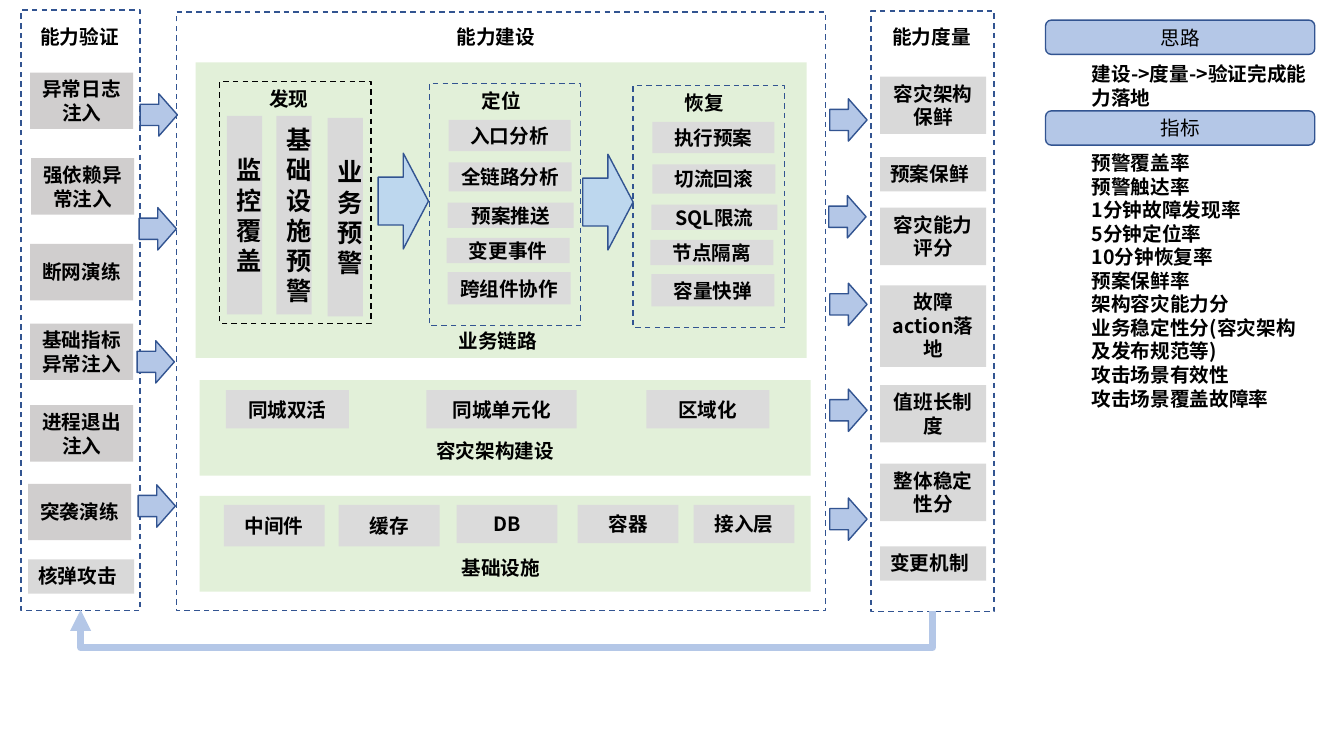
"""Build a one-slide map of disaster-recovery capabilities: verify, build, measure."""
from dataclasses import dataclass

from lxml import etree
from pptx import Presentation
from pptx.dml.color import RGBColor
from pptx.enum.dml import MSO_LINE
from pptx.enum.shapes import MSO_CONNECTOR, MSO_SHAPE
from pptx.enum.text import MSO_ANCHOR, MSO_AUTO_SIZE, PP_ALIGN
from pptx.oxml.ns import qn
from pptx.util import Inches, Pt

RECT, ROUNDED, ARROW = MSO_SHAPE.RECTANGLE, MSO_SHAPE.ROUNDED_RECTANGLE, MSO_SHAPE.RIGHT_ARROW
ELBOW, DASH = MSO_CONNECTOR.ELBOW, MSO_LINE.DASH
LEFT, CENTER = PP_ALIGN.LEFT, PP_ALIGN.CENTER
TOP, MIDDLE = MSO_ANCHOR.TOP, MSO_ANCHOR.MIDDLE
FIT_SHAPE = MSO_AUTO_SIZE.SHAPE_TO_FIT_TEXT


@dataclass(frozen=True)
class Theme:
    font: str = "Noto Sans CJK SC"
    body: int = 14
    large: int = 18
    ink: str = "000000"
    outline: str = "325491"
    panel: str = "E2F0D9"
    item: str = "DBDBDB"
    measure: str = "D9D9D9"
    drill: str = "D0CECE"
    accent: str = "B4C7E7"
    stage_arrow: str = "BDD7EE"


THEME = Theme()
SLIDE_SIZE = (13.33, 7.5)

FRAMES = [
    ("能力验证", (0.21, 0.1, 1.18, 5.96), 0.3, 1.01),
    ("能力建设", (1.75, 0.12, 6.44, 5.94), 4.43, 2.73),
    ("能力度量", (8.64, 0.11, 1.22, 5.96), 8.75, 1.18),
]
PANELS = [
    ("业务链路", (1.94, 0.62, 6.06, 2.93), (4.45, 3.21), 0, []),
    ("容灾架构建设", (1.98, 3.77, 6.06, 0.95), (4.23, 4.31), 3.87,
     [("同城双活", 2.24, 1.22, 0.38), ("同城单元化", 4.23, 1.49, 0.38), ("区域化", 6.41, 1.22, 0.38)]),
    ("基础设施", (1.98, 4.92, 6.06, 0.95), (4.48, 5.47), 5.01,
     [("中间件", 2.22, 1, 0.41), ("缓存", 3.36, 1, 0.41), ("DB", 4.53, 1, 0.38),
      ("容器", 5.73, 1, 0.38), ("接入层", 6.88, 1, 0.38)]),
]
STAGE_SIZE = (1.5, 2.4)
STAGES = [
    ("发现", 2.18, 0.81, 0.39, THEME.ink, []),
    ("定位", 4.26, 0.83, 0.42, THEME.outline,
     ["入口分析", "全链路分析", "预案推送", "变更事件", "跨组件协作"]),
    ("恢复", 6.28, 0.85, 0.41, THEME.outline,
     ["执行预案", "切流回滚", "SQL限流", "节点隔离", "容量快弹"]),
]
STAGE_ROWS = [(0.19, 0.36, 1.21, 0.31), (0.19, 0.78, 1.22, 0.29), (0.18, 1.18, 1.25, 0.25),
              (0.17, 1.53, 1.22, 0.25), (0.18, 1.87, 1.22, 0.32)]
ALERT_COLUMNS = [("监控覆盖", 2.25, 1.15), ("基础设施预警", 2.74, 1.15), ("业务预警", 3.25, 1.17)]
ALERT_SIZE = (0.35, 1.97)
DRILLS = [("异常日志注入", 0.3, 0.72), ("强依赖异常注入", 0.31, 1.57), ("断网演练", 0.3, 2.42),
          ("基础指标异常注入", 0.3, 3.21), ("进程退出注入", 0.3, 4.02), ("突袭演练", 0.28, 4.8)]
DRILL_SIZE = (1.02, 0.56)
MEASURE_LEFT, MEASURE_WIDTH = 8.73, 1.05
LINE_HEIGHTS = {1: 0.34, 2: 0.57, 3: 0.81}
MEASURES = [("容灾架构保鲜", 0.76, 2), ("预案保鲜", 1.56, 1), ("容灾能力评分", 2.06, 2),
            ("故障action落地", 2.83, 3), ("值班长制度", 3.82, 2), ("整体稳定性分", 4.6, 2),
            ("变更机制", 5.42, 1)]
FINAL_ATTACK = ("核弹攻击", 0.28, 5.55)
FLOW_SIZE = (0.37, 0.42)
FLOWS = [(1.39, 0.93), (1.38, 2.06), (1.36, 3.38), (1.37, 4.81),
         (8.23, 0.98), (8.22, 1.94), (8.23, 2.81), (8.23, 3.86), (8.23, 4.94)]
STAGE_FLOW_SIZE = (0.5, 0.95)
STAGE_FLOWS = [(3.75, 1.52), (5.78, 1.53)]
NOTES = [
    ("思路", 0.2, 0.57, 0.57, ["建设->度量->验证完成能力落地"]),
    ("指标", 1.1, 1.45, 2.93,
     ["预警覆盖率", "预警触达率", "1分钟故障发现率", "5分钟定位率", "10分钟恢复率", "预案保鲜率",
      "架构容灾能力分", "业务稳定性分(容灾架构及发布规范等)", "攻击场景有效性", "攻击场景覆盖故障率"]),
]
NOTE_HEAD_LEFT, NOTE_HEAD_WIDTH, NOTE_LEFT, NOTE_WIDTH = 10.37, 2.67, 10.73, 2.4
LABEL_HEIGHT = 0.34


def inches(box):
    return [Inches(length) for length in box]


def write(frame, lines, size=THEME.body, bold=True, align=CENTER, anchor=MIDDLE):
    frame.word_wrap = True
    frame.vertical_anchor = anchor
    for index, line in enumerate(lines):
        paragraph = frame.paragraphs[0] if index == 0 else frame.add_paragraph()
        paragraph.alignment = align
        run = paragraph.add_run()
        run.text = line
        run.font.size, run.font.bold, run.font.name = Pt(size), bold, THEME.font
        run.font.color.rgb = RGBColor.from_string(THEME.ink)
        etree.SubElement(run.font._element, qn("a:ea"), typeface=THEME.font)


def draw(slide, box, fill=None, line=None, kind=RECT, dash=None):
    shape = slide.shapes.add_shape(kind, *inches(box))
    shape.shadow.inherit = False
    if fill:
        shape.fill.solid()
        shape.fill.fore_color.rgb = RGBColor.from_string(fill)
    else:
        shape.fill.background()
    if line:
        shape.line.color.rgb = RGBColor.from_string(line)
        shape.line.width = Pt(1)
        shape.line.dash_style = dash
    else:
        shape.line.fill.background()
    return shape


def label(slide, box, lines):
    frame = slide.shapes.add_textbox(*inches(box)).text_frame
    write(frame, lines, align=LEFT, anchor=TOP)
    frame.auto_size = FIT_SHAPE


def measure(slide, text, left, top, rows):
    card = draw(slide, (left, top, MEASURE_WIDTH, LINE_HEIGHTS[rows]), THEME.measure)
    write(card.text_frame, [text], align=LEFT if rows == 1 else CENTER, anchor=TOP)
    card.text_frame.auto_size = FIT_SHAPE


def draw_panels(slide):
    for name, box, (left, top), item_top, items in PANELS:
        draw(slide, box, THEME.panel)
        for text, item_left, width, height in items:
            item = draw(slide, (item_left, item_top, width, height), THEME.item)
            write(item.text_frame, [text])
        label(slide, (left, top, 1.8, LABEL_HEIGHT), [name])


def draw_stages(slide):
    for text, left, top in ALERT_COLUMNS:
        column = draw(slide, (left, top, *ALERT_SIZE), THEME.measure)
        write(column.text_frame, [text], size=THEME.large)
    for name, left, top, indent, outline, steps in STAGES:
        for step, (dx, dy, width, height) in zip(steps, STAGE_ROWS):
            card = draw(slide, (left + dx, top + dy, width, height), THEME.item)
            write(card.text_frame, [step])
        draw(slide, (left, top, *STAGE_SIZE), line=outline, dash=DASH)
        label(slide, (left + indent, top, 0.63, LABEL_HEIGHT), [name])


def draw_feedback(slide):
    loop = slide.shapes.add_connector(ELBOW, *inches((5.03, 1.83, 5.02, 10.28)))
    loop.line.color.rgb = RGBColor.from_string(THEME.accent)
    loop.line.width = Pt(5)
    properties = loop._element.spPr
    properties.find(qn("a:xfrm")).set("rot", "5400000")
    guides = properties.find(qn("a:prstGeom")).find(qn("a:avLst"))
    etree.SubElement(guides, qn("a:gd"), name="adj1", fmla="val -3700000")
    etree.SubElement(properties.find(qn("a:ln")), qn("a:tailEnd"), type="triangle")
    etree.SubElement(properties, qn("a:effectLst"))


def main():
    deck = Presentation()
    deck.slide_width, deck.slide_height = inches(SLIDE_SIZE)
    slide = deck.slides.add_slide(deck.slide_layouts[6])
    draw_panels(slide)
    for name, box, left, width in FRAMES:
        draw(slide, box, line=THEME.outline, dash=DASH)
        label(slide, (left, 0.2, width, LABEL_HEIGHT), [name])
    draw_stages(slide)
    for text, left, top in DRILLS:
        write(draw(slide, (left, top, *DRILL_SIZE), THEME.drill).text_frame, [text])
    for text, top, rows in MEASURES:
        measure(slide, text, MEASURE_LEFT, top, rows)
    measure(slide, *FINAL_ATTACK, 1)
    for spots, size, fill in ((STAGE_FLOWS, STAGE_FLOW_SIZE, THEME.stage_arrow),
                              (FLOWS, FLOW_SIZE, THEME.accent)):
        for spot in spots:
            draw(slide, (*spot, *size), fill, THEME.outline, ARROW)
    draw_feedback(slide)
    for heading, head_top, top, height, lines in NOTES:
        head = draw(slide, (NOTE_HEAD_LEFT, head_top, NOTE_HEAD_WIDTH, LABEL_HEIGHT),
                    THEME.accent, THEME.outline, ROUNDED)
        write(head.text_frame, [heading], bold=False)
        label(slide, (NOTE_LEFT, top, NOTE_WIDTH, height), lines)
    deck.save("out.pptx")


if __name__ == "__main__":
    main()
